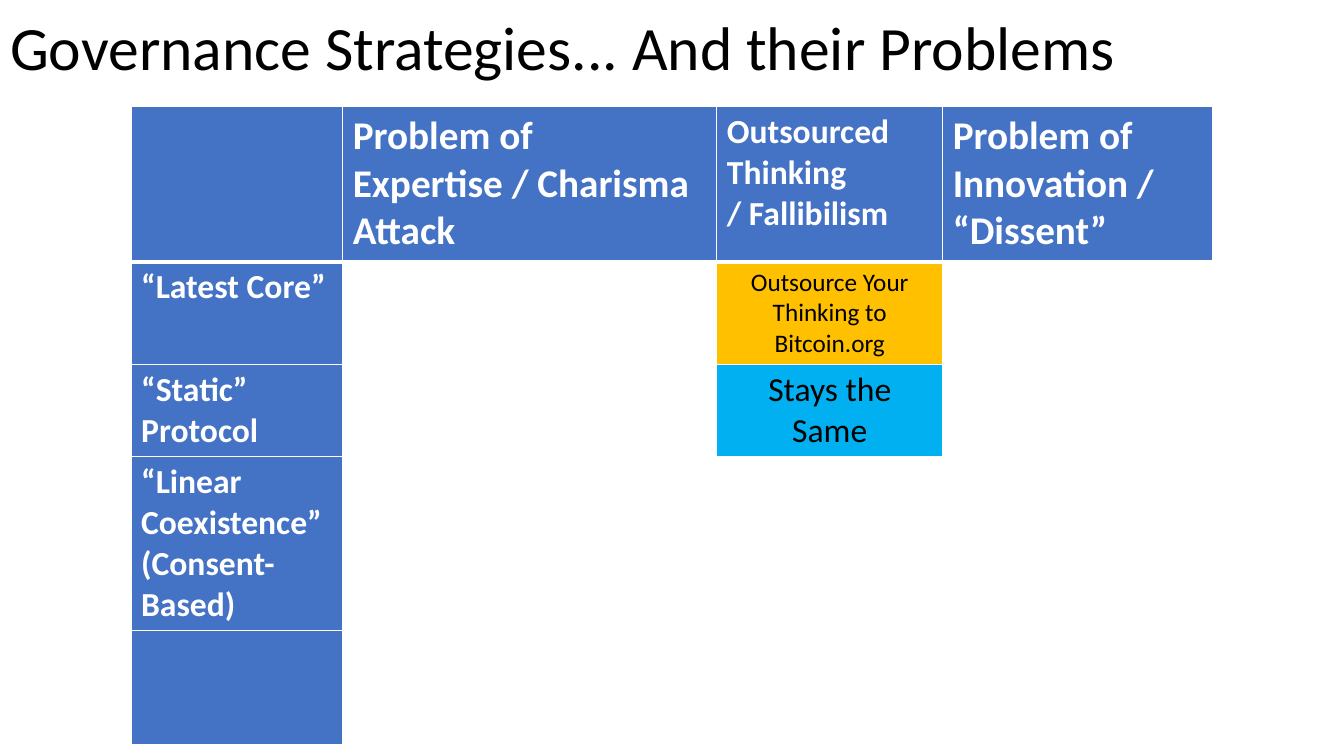
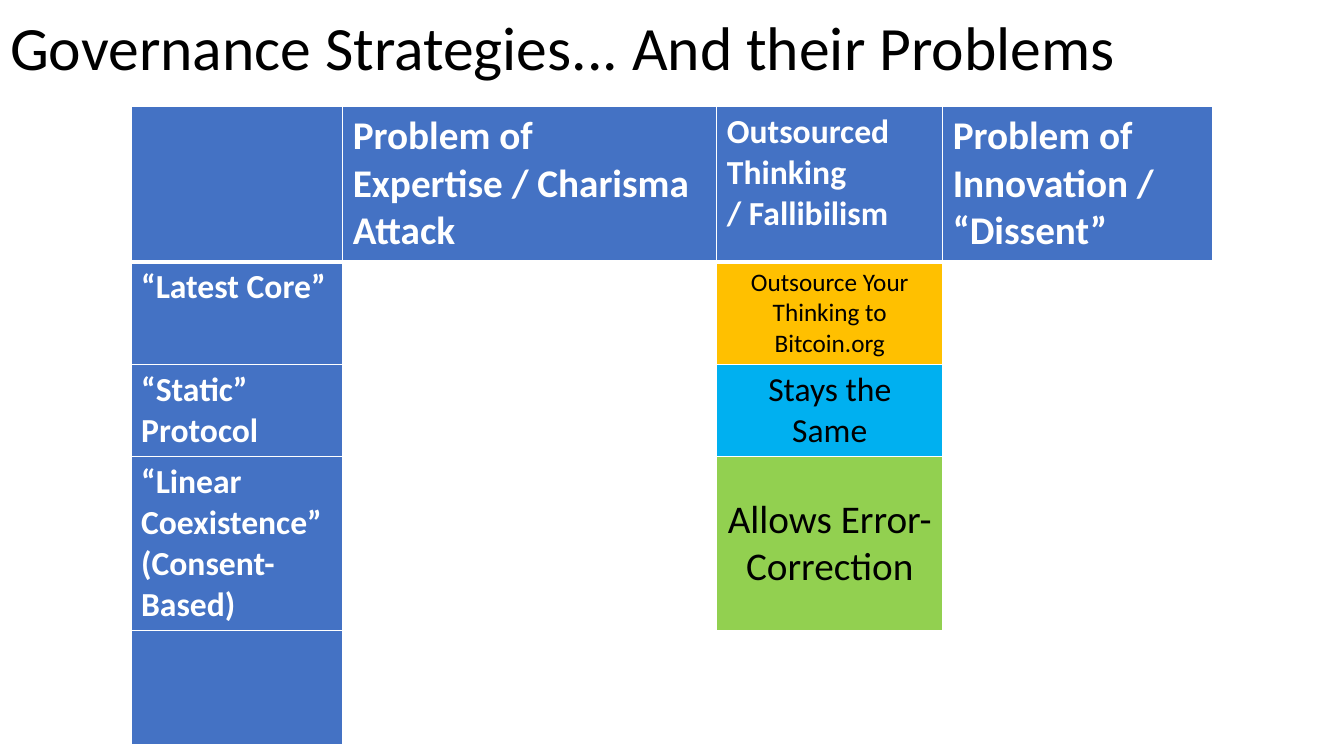
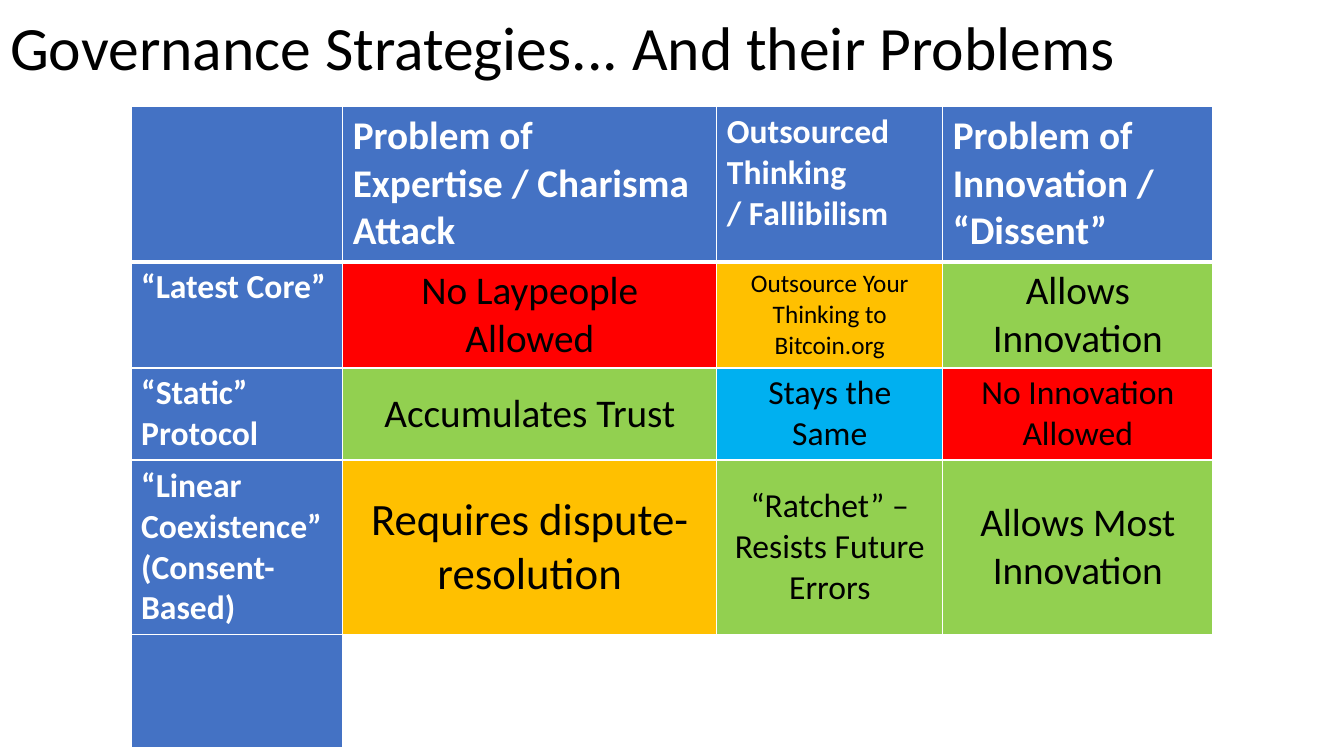
from lxml import etree
from pptx import Presentation
from pptx.dml.color import RGBColor
from pptx.enum.text import MSO_ANCHOR, MSO_AUTO_SIZE, PP_ALIGN
from pptx.oxml.ns import qn
from pptx.util import Inches, Pt

LEFT, CENTER = PP_ALIGN.LEFT, PP_ALIGN.CENTER
TOP, MIDDLE = MSO_ANCHOR.TOP, MSO_ANCHOR.MIDDLE
NO_AUTOFIT = MSO_AUTO_SIZE.NONE

WHITE = RGBColor(0xFF, 0xFF, 0xFF)
BLACK = RGBColor(0x00, 0x00, 0x00)
BLUE = RGBColor(0x44, 0x72, 0xC4)
RED = RGBColor(0xFF, 0x00, 0x00)
AMBER = RGBColor(0xFF, 0xC0, 0x00)
GREEN = RGBColor(0x92, 0xD0, 0x50)
SKY = RGBColor(0x00, 0xB0, 0xF0)

FONT = "Calibri"
TITLE = "Governance Strategies... And their Problems"
TITLE_ONLY = 5
COLUMN_WIDTHS = (2.1, 3.71, 2.24, 2.68)
ROW_HEIGHTS = (1.54, 0.93, 0.89, 1.54, 1.13)
THIN, THICK = 1, 3
LINE_BREAK = "|"

PROBLEMS = (
    (["Problem of |Expertise / Charisma Attack"], 28),
    (["Outsourced Thinking", "/ Fallibilism"], 24),
    (["Problem of Innovation / “Dissent”"], 28),
)
STRATEGIES = (
    ["“Latest Core”"],
    ["“Static” Protocol"],
    ["“Linear Coexistence”", "(Consent-Based)"],
    [],
)
EXPERTISE, THINKING, INNOVATION = 1, 2, 3
LATEST, STATIC, LINEAR = 1, 2, 3

FIRST_ANSWERS = {
    (LATEST, THINKING): ("Outsource Your Thinking to Bitcoin.org", AMBER, 18),
    (STATIC, THINKING): ("Stays the Same", SKY, 24),
}
SECOND_ANSWERS = FIRST_ANSWERS | {
    (LINEAR, THINKING): ("Allows Error-Correction", GREEN, 28),
}
ALL_ANSWERS = FIRST_ANSWERS | {
    (LATEST, EXPERTISE): ("No Laypeople Allowed", RED, 28),
    (LATEST, INNOVATION): ("Allows Innovation", GREEN, 28),
    (STATIC, EXPERTISE): ("Accumulates Trust", GREEN, 28),
    (STATIC, INNOVATION): ("No Innovation Allowed", RED, 24),
    (LINEAR, EXPERTISE): ("Requires dispute-resolution", AMBER, 32),
    (LINEAR, THINKING): ("“Ratchet” –|Resists Future Errors", GREEN, 24),
    (LINEAR, INNOVATION): ("Allows Most Innovation", GREEN, 28),
}


class StrategyDeck:
    """Holds the shared style and the slide being built."""

    def __init__(self):
        self.deck = Presentation()
        self.deck.slide_width = Inches(13.33)
        self.deck.slide_height = Inches(7.5)
        self.page = None

    def add_text(self, frame, paragraphs, size, color, bold=False, align=LEFT):
        for index, text in enumerate(paragraphs):
            para = frame.add_paragraph() if index else frame.paragraphs[0]
            para.alignment = align
            for line_number, line in enumerate(text.split(LINE_BREAK)):
                if line_number:
                    para.add_line_break()
                span = para.add_run()
                span.text = line
                span.font.name = FONT
                span.font.size = Pt(size)
                span.font.bold = bold
                span.font.color.rgb = color

    def add_page(self, title):
        self.page = self.deck.slides.add_slide(self.deck.slide_layouts[TITLE_ONLY])
        box = self.page.shapes.title
        box.left, box.top = Inches(0), Inches(0.05)
        box.width, box.height = Inches(12.2), Inches(0.91)
        frame = box.text_frame
        frame.word_wrap = True
        frame.auto_size = NO_AUTOFIT
        frame.vertical_anchor = MIDDLE
        self.add_text(frame, [title], 44, BLACK)
        frame.paragraphs[0].line_spacing = 0.9

    def set_borders(self, cell, top, bottom):
        properties = cell._tc.get_or_add_tcPr()
        widths = {"a:lnL": THIN, "a:lnR": THIN, "a:lnT": top, "a:lnB": bottom}
        for tag, width in widths.items():
            line = etree.SubElement(properties, qn(tag), w=str(Pt(width)))
            fill = etree.SubElement(line, qn("a:solidFill"))
            etree.SubElement(fill, qn("a:srgbClr"), val=str(WHITE))

    def add_grid(self):
        frame = self.page.shapes.add_table(
            len(ROW_HEIGHTS), len(COLUMN_WIDTHS), Inches(1.3), Inches(1.06),
            Inches(sum(COLUMN_WIDTHS)), Inches(sum(ROW_HEIGHTS)))
        table = frame.table
        for column, width in zip(table.columns, COLUMN_WIDTHS):
            column.width = Inches(width)
        for row_number, (row, height) in enumerate(zip(table.rows, ROW_HEIGHTS)):
            row.height = Inches(height)
            for cell in row.cells:
                self.set_borders(cell, THICK if row_number == 1 else THIN,
                                 THICK if row_number == 0 else THIN)
                cell.fill.background()
        return table

    def fill_cell(self, cell, paragraphs, fill, size, heading=True):
        cell.fill.solid()
        cell.fill.fore_color.rgb = fill
        cell.vertical_anchor = TOP if heading else MIDDLE
        self.add_text(cell.text_frame, paragraphs, size,
                      WHITE if heading else BLACK, heading,
                      LEFT if heading else CENTER)

    def add_comparison(self, answers):
        table = self.add_grid()
        self.fill_cell(table.cell(0, 0), [], BLUE, 24)
        for column, (paragraphs, size) in enumerate(PROBLEMS, 1):
            self.fill_cell(table.cell(0, column), paragraphs, BLUE, size)
        for row, paragraphs in enumerate(STRATEGIES, 1):
            self.fill_cell(table.cell(row, 0), paragraphs, BLUE, 24)
        for (row, column), (text, fill, size) in answers.items():
            self.fill_cell(table.cell(row, column), [text], fill, size, heading=False)


def main():
    builder = StrategyDeck()
    for answers in (FIRST_ANSWERS, SECOND_ANSWERS, ALL_ANSWERS):
        builder.add_page(TITLE)
        builder.add_comparison(answers)
    builder.deck.save("out.pptx")


if __name__ == "__main__":
    main()
